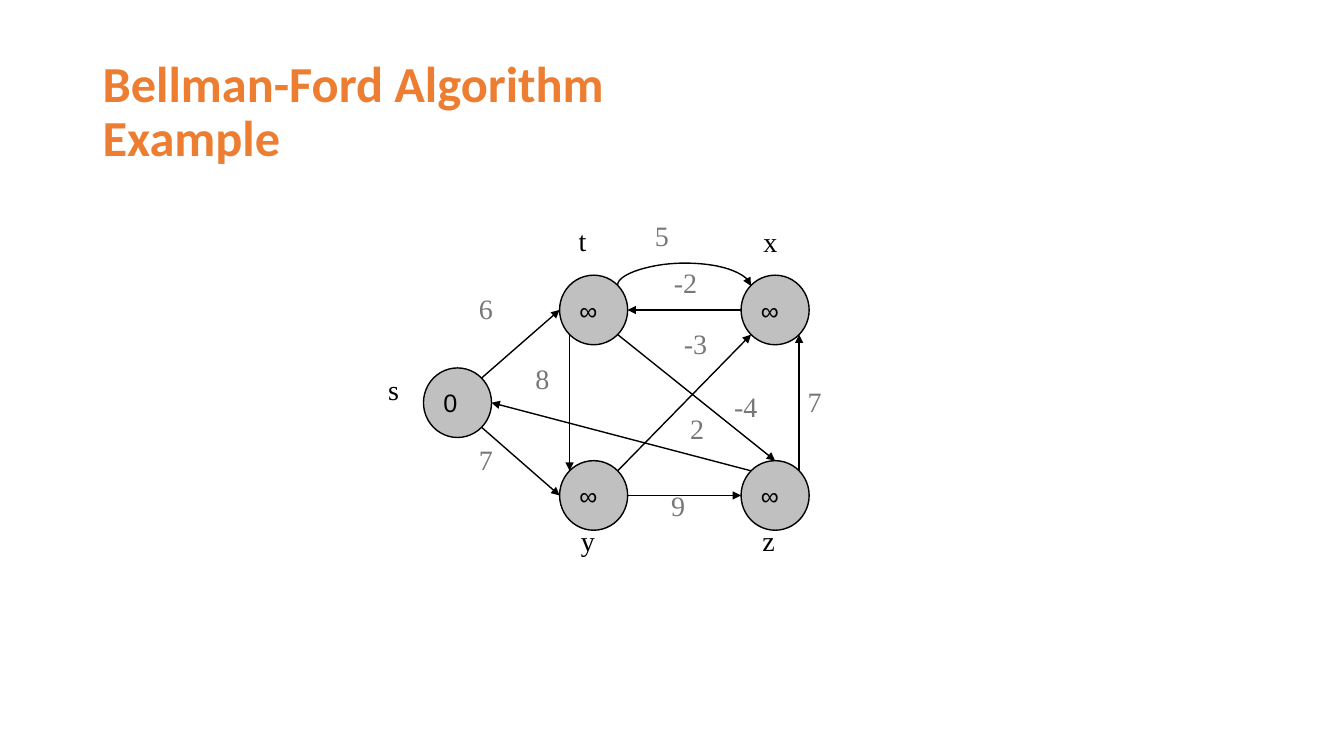
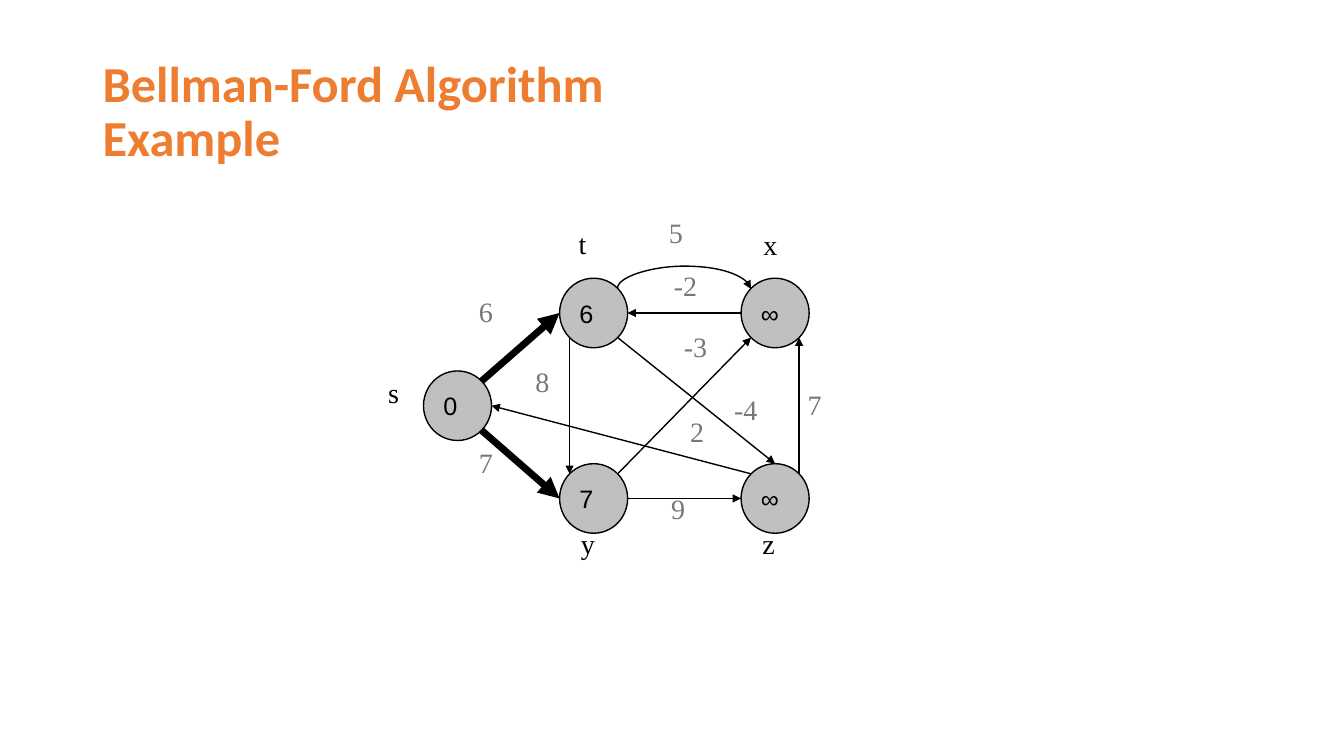
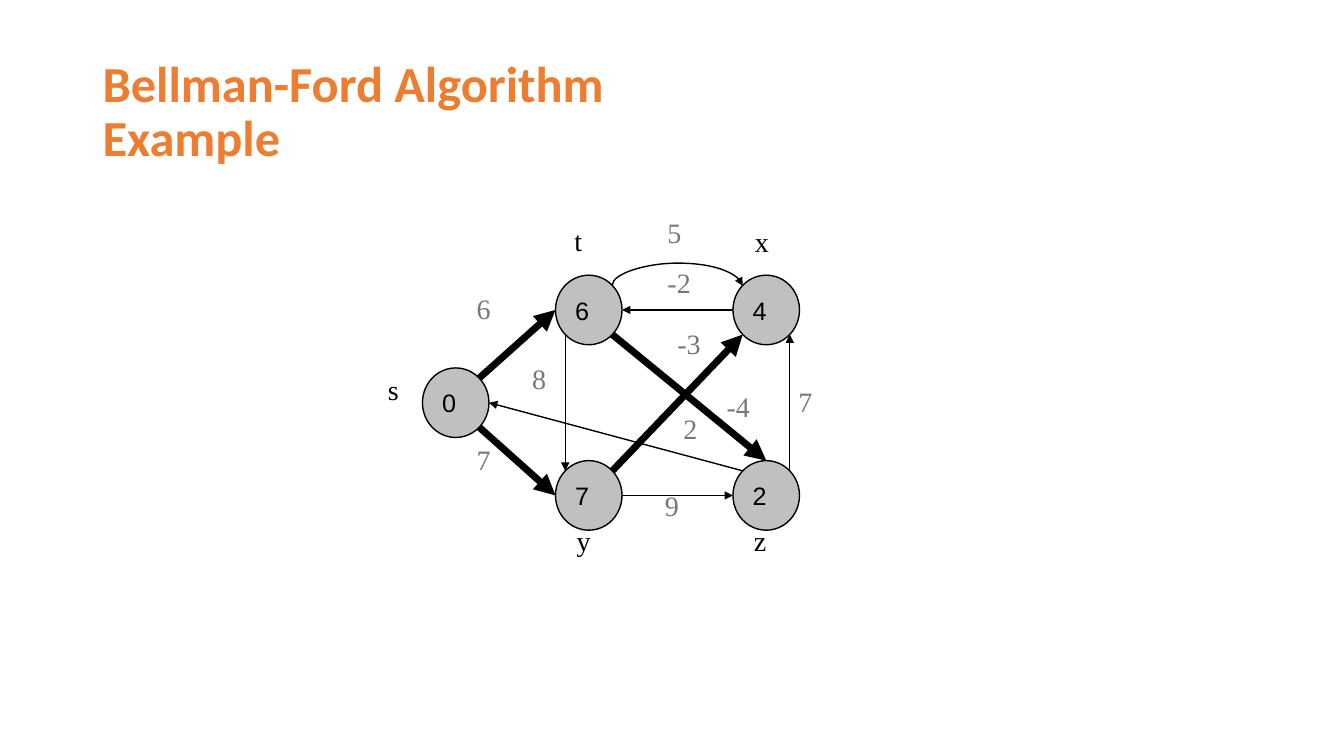
from dataclasses import dataclass
from math import sqrt

from lxml import etree
from pptx import Presentation
from pptx import util as u
from pptx.dml.color import RGBColor
from pptx.enum import shapes, text
from pptx.oxml.ns import qn


@dataclass(frozen=True)
class Theme:
    title_color: RGBColor = RGBColor(0xED, 0x7D, 0x31)
    ink: RGBColor = RGBColor(0, 0, 0)
    weight_color: RGBColor = RGBColor(0x77, 0x77, 0x77)
    node_fill: RGBColor = RGBColor(0xC0, 0xC0, 0xC0)
    title_font: str = "Calibri"
    label_font: str = "Times New Roman"
    node_font: str = "Arial"
    title_size: int = 36
    label_size: int = 20
    node_size: int = 18
    thin: int = 1
    thick: int = 5


THEME = Theme()


@dataclass(frozen=True)
class Grid:
    """Unit grid, in inches, on which the whole graph is laid out."""
    top: float
    col: float
    row: float
    left: float = 3.75

    def x(self, cols):
        return self.left + cols * self.col

    def y(self, rows):
        return self.top + rows * self.row


NODE_COLS, NODE_ROWS = 1.5, 3
NODES = {"t": (4, 0), "x": (8, 0), "y": (4, 8), "z": (8, 8), "s": (1, 4)}
NODE_LABELS = {"s": (0, 4), "z": (8.25, 10.5), "y": (4.25, 10.5),
               "x": (8.27, -2.4), "t": (4.2, -2.45)}

# Connection sites of an ellipse, as offsets from its centre in radii.
DIAGONAL = sqrt(0.5)
SITES = {"top": (0, 0, -1), "top left": (1, -DIAGONAL, -DIAGONAL),
         "left": (2, -1, 0), "bottom left": (3, -DIAGONAL, DIAGONAL),
         "bottom": (4, 0, 1), "bottom right": (5, DIAGONAL, DIAGONAL),
         "right": (6, 1, 0), "top right": (7, DIAGONAL, -DIAGONAL)}
EDGES = [("t", "bottom left", "y", "top left"),
         ("y", "top right", "x", "bottom left"),
         ("z", "top right", "x", "bottom right"),
         ("y", "right", "z", "left"),
         ("z", "top left", "s", "right"),
         ("s", "bottom right", "y", "left"),
         ("s", "top right", "t", "left"),
         ("x", "left", "t", "right"),
         ("t", "bottom right", "z", "top")]
ARC = ("t", "top right", "x", "top left")
ARC_RISE, ARC_DEPTH = 0.22, 0.01

# Edge weight, column, row, width in columns.
WEIGHTS = [("6", 2, 0.5, 1.5), ("7", 2, 7, 1.5), ("8", 3.25, 3.5, 1),
           ("-3", 6.52, 2, 1.4), ("7", 9.25, 4.5, 1), ("2", 6.66, 5.65, 1),
           ("9", 6.24, 9, 1), ("-2", 6.3, -0.65, 1.5), ("-4", 7.63, 4.7, 1.4)]


def add_run(paragraph, words, font, size, color, bold=False):
    run = paragraph.add_run()
    run.text = words
    run.font.name = font
    run.font.size = u.Pt(size)
    run.font.color.rgb = color
    run.font.bold = bold


def add_title(slide, lines):
    box = slide.shapes.add_textbox(u.Inches(0.92), u.Inches(0.4),
                                   u.Inches(11.5), u.Inches(1.45))
    frame = box.text_frame
    frame.word_wrap = True
    frame.vertical_anchor = text.MSO_ANCHOR.MIDDLE
    paragraph = frame.paragraphs[0]
    paragraph.line_spacing = 0.9
    for number, line in enumerate(lines):
        if number:
            paragraph.add_line_break()
        add_run(paragraph, line, THEME.title_font, THEME.title_size,
                THEME.title_color, bold=True)


def add_label(slide, grid, words, col, row, cols, color):
    box = slide.shapes.add_textbox(u.Inches(grid.x(col)), u.Inches(grid.y(row)),
                                   u.Inches(cols * grid.col), u.Inches(0.43))
    box.text_frame.word_wrap = True
    add_run(box.text_frame.paragraphs[0], words, THEME.label_font,
            THEME.label_size, color)


def add_node(slide, grid, col, row, distance):
    node = slide.shapes.add_shape(
        shapes.MSO_SHAPE.OVAL, u.Inches(grid.x(col)), u.Inches(grid.y(row)),
        u.Inches(NODE_COLS * grid.col), u.Inches(NODE_ROWS * grid.row))
    node.shadow.inherit = False
    node.fill.solid()
    node.fill.fore_color.rgb = THEME.node_fill
    node.line.color.rgb = THEME.ink
    node.line.width = u.Pt(THEME.thin)
    frame = node.text_frame
    frame.word_wrap = False
    frame.vertical_anchor = text.MSO_ANCHOR.MIDDLE
    frame.paragraphs[0].alignment = text.PP_ALIGN.LEFT
    add_run(frame.paragraphs[0], distance, THEME.node_font, THEME.node_size,
            THEME.ink)
    return node


def site_point(node, site):
    _, dx, dy = SITES[site]
    return (round(node.left + node.width * (1 + dx) / 2),
            round(node.top + node.height * (1 + dy) / 2))


def add_edge(slide, nodes, edge, width, kind=shapes.MSO_CONNECTOR.STRAIGHT):
    """Draw an arrow glued to the named sites of two nodes."""
    source, source_site, target, target_site = edge
    arrow = slide.shapes.add_connector(
        kind, *site_point(nodes[source], source_site),
        *site_point(nodes[target], target_site))
    arrow.line.color.rgb = THEME.ink
    arrow.line.width = u.Pt(width)
    etree.SubElement(arrow.line._get_or_add_ln(), qn("a:tailEnd"), type="triangle")
    etree.SubElement(arrow._element.spPr, qn("a:effectLst"))
    joints = arrow._element.find(".//" + qn("p:cNvCxnSpPr"))
    for tag, name, site in (("a:stCxn", source, source_site),
                            ("a:endCxn", target, target_site)):
        etree.SubElement(joints, qn(tag), id=str(nodes[name].shape_id),
                         idx=str(SITES[site][0]))
    return arrow


def add_arc(slide, nodes):
    """Draw the edge that bows upwards, as a curve turned by 90 degrees."""
    arc = add_edge(slide, nodes, ARC, THEME.thin, shapes.MSO_CONNECTOR.CURVE)
    span, depth = arc.width, u.Inches(ARC_DEPTH)
    arc.left += (span - depth) // 2
    arc.top -= span // 2
    arc.width, arc.height = depth, span
    properties = arc._element.spPr
    properties.xfrm.set("rot", "5400000")
    properties.xfrm.set("flipV", "1")
    guides = properties.find(qn("a:prstGeom")).get_or_add_avLst()
    bend = round(-ARC_RISE / ARC_DEPTH * 100000)
    etree.SubElement(guides, qn("a:gd"), name="adj1", fmla=f"val {bend}")


def add_graph(slide, grid, distances, relaxed, arc_weight_at):
    """Draw the graph; relaxed holds the edges, such as "st", to stress."""
    nodes = {name: add_node(slide, grid, *place, distances[name])
             for name, place in NODES.items()}
    for edge in EDGES:
        stressed = edge[0] + edge[2] in relaxed
        add_edge(slide, nodes, edge, THEME.thick if stressed else THEME.thin)
    add_arc(slide, nodes)
    for name, place in NODE_LABELS.items():
        add_label(slide, grid, name, *place, 1, THEME.ink)
    for weight in WEIGHTS + [("5", *arc_weight_at, 1.5)]:
        add_label(slide, grid, *weight, THEME.weight_color)


def main():
    deck = Presentation()
    deck.slide_width, deck.slide_height = u.Inches(13.33), u.Inches(7.5)
    first_pass = {"st", "sy"}
    steps = [
        (Grid(2.73, 0.45, 0.23), "∞∞∞∞0", set(), (5.88, -2.65)),
        (Grid(2.76, 0.45, 0.23), "6∞7∞0", first_pass, (6.19, -2.9)),
        (Grid(2.73, 0.44, 0.23), "64720", first_pass | {"yx", "tz"}, (6.3, -2.8)),
    ]
    for grid, distances, relaxed, arc_weight_at in steps:
        slide = deck.slides.add_slide(deck.slide_layouts[6])
        add_title(slide, ["Bellman-Ford Algorithm", "Example"])
        add_graph(slide, grid, dict(zip(NODES, distances)), relaxed, arc_weight_at)
    deck.save("out.pptx")


if __name__ == "__main__":
    main()
